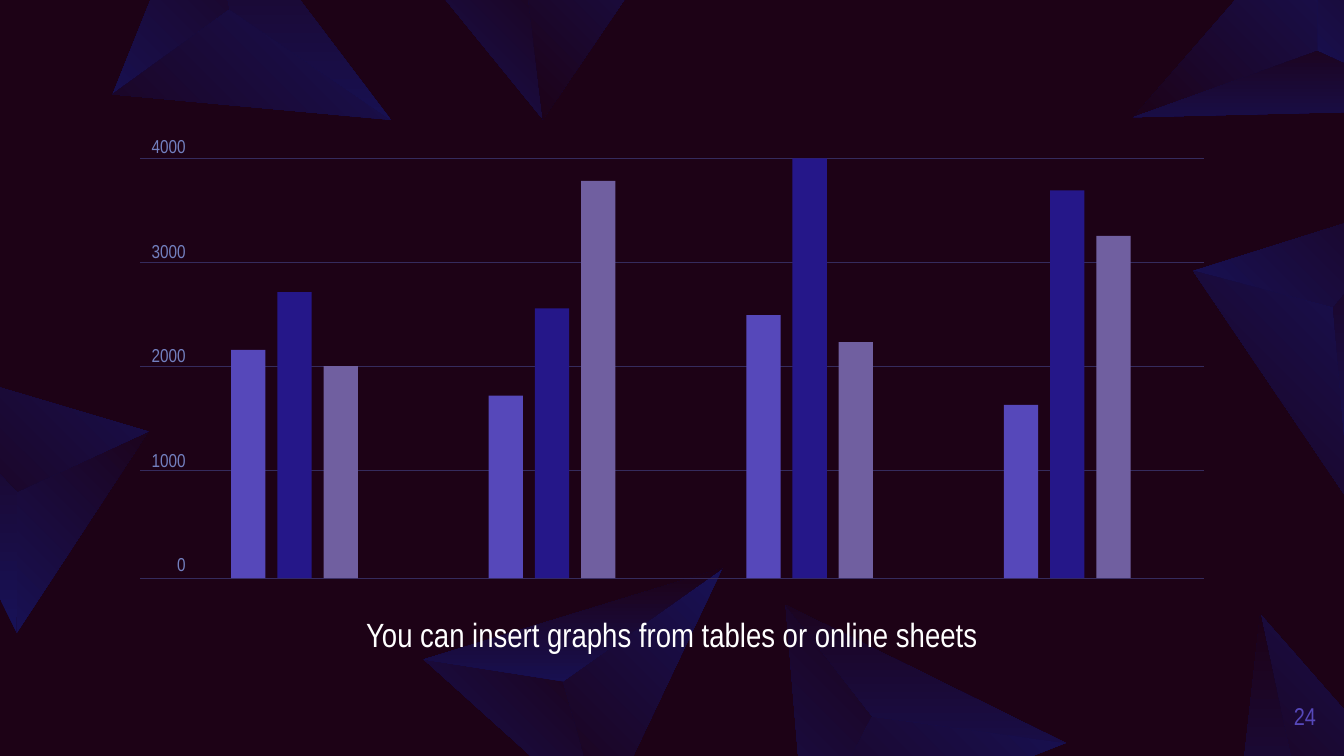
"""Build a dark slide with a grouped bar graph, a caption and faceted gems."""
from math import cos, radians, sin

from lxml import etree
from pptx import Presentation
from pptx.dml.color import RGBColor
from pptx.enum.shapes import MSO_CONNECTOR, MSO_SHAPE
from pptx.enum.text import MSO_ANCHOR, MSO_AUTO_SIZE, PP_ALIGN
from pptx.oxml.ns import qn
from pptx.util import Pt

STRAIGHT, RECTANGLE = MSO_CONNECTOR.STRAIGHT, MSO_SHAPE.RECTANGLE
TOP, MIDDLE = MSO_ANCHOR.TOP, MSO_ANCHOR.MIDDLE
CENTER, RIGHT = PP_ALIGN.CENTER, PP_ALIGN.RIGHT
NO_AUTOFIT = MSO_AUTO_SIZE.NONE

FONT = "Arial Narrow"
BACKGROUND, GEM_BLUE, GRID_COLOR = "1D0216", "17125A", "352B5D"
CAPTION = "You can insert graphs from tables or online sheets"
PAGE_NUMBER = "24"
AXIS_LABELS = ["4000", "3000", "2000", "1000", "0"]
SERIES = [
    ("5648BA", [2175, 1740, 2505, 1650]),
    ("251789", [2725, 2570, 4000, 3695]),
    ("705FA0", [2020, 3785, 2250, 3260]),
]

GRID_LEFT, GRID_RIGHT = 75, 645
GRID_LINES = [84.8, 140.5, 196.3, 252, 309.8]
BASELINE, AXIS_HEIGHT, AXIS_MAX = 309.8, 225, 4000
FIRST_BAR, GROUP_STEP, BAR_STEP, BAR_WIDTH = 123.8, 138, 24.75, 18.4

HUB, WEST, SOUTH, EAST = (0, 0), (-72, -23), (9.4, 77), (93.6, -46.8)
FACETS = {
    "left": ([WEST, SOUTH, HUB], 45),
    "right": ([SOUTH, EAST, HUB], 225),
    "top": ([WEST, HUB, EAST], 90),
}
GEMS = [
    (697, 431.3, 284.5, ["right", "top"]),
    (281.5, -13, 0, ["left", "right"]),
    (705.6, 27.4, 186.8, FACETS),
    (714.2, 164.9, 111.7, FACETS),
    (301.7, 365, 351.2, FACETS),
    (9, 263.5, 252.3, FACETS),
    (123.1, 5, 61, FACETS),
    (467.3, 383.8, 34.4, FACETS),
]


def rgb(hex_color):
    """Return the colour for a hex string."""
    return RGBColor.from_string(hex_color)


def write(shape, lines, *, size, color, align, anchor=TOP, before=0):
    """Fill a shape with formatted paragraphs."""
    frame = shape.text_frame
    frame.word_wrap = True
    frame.auto_size = NO_AUTOFIT
    frame.vertical_anchor = anchor
    frame.margin_left = frame.margin_right = 0
    frame.margin_top = frame.margin_bottom = 0
    for index, line in enumerate(lines):
        paragraph = frame.paragraphs[0] if index == 0 else frame.add_paragraph()
        paragraph.text = line
        paragraph.alignment = align
        paragraph.space_before = Pt(before if index else 0)
        paragraph.font.name = FONT
        paragraph.font.size = Pt(size)
        paragraph.font.color.rgb = rgb(color)


def add_facet(shapes, corners, gradient_angle, hub_x, hub_y, rotation):
    """Draw one gem face turned about its hub, lit from a fixed direction."""
    points = [(Pt(x), Pt(y)) for x, y in corners]
    builder = shapes.build_freeform(*points[0], scale=1.0)
    builder.add_line_segments(points[1:], close=True)
    facet = builder.convert_to_shape()
    xs, ys = zip(*corners)
    center_x, center_y = (min(xs) + max(xs)) / 2, (min(ys) + max(ys)) / 2
    turn = radians(rotation)
    x = hub_x + center_x * cos(turn) - center_y * sin(turn)
    y = hub_y + center_x * sin(turn) + center_y * cos(turn)
    facet.left = Pt(x) - facet.width // 2
    facet.top = Pt(y) - facet.height // 2
    facet.rotation = rotation
    facet.shadow.inherit = False
    facet.line.fill.background()
    facet.fill.gradient()
    facet.fill.gradient_angle = (gradient_angle + rotation) % 360
    for stop, color in zip(facet.fill.gradient_stops, (GEM_BLUE, BACKGROUND)):
        stop.color.rgb = rgb(color)


def add_grid_line(shapes, y):
    """Draw one horizontal grid line."""
    grid_line = shapes.add_connector(
        STRAIGHT, Pt(GRID_LEFT), Pt(y), Pt(GRID_RIGHT), Pt(y))
    grid_line.line.color.rgb = rgb(GRID_COLOR)
    grid_line.line.width = Pt(0.75)
    etree.SubElement(grid_line.element.spPr, qn("a:effectLst"))


def add_bar(shapes, left, value, color):
    """Draw one bar standing on the baseline."""
    height = value / AXIS_MAX * AXIS_HEIGHT
    bar = shapes.add_shape(
        RECTANGLE, Pt(left), Pt(BASELINE - height), Pt(BAR_WIDTH), Pt(height))
    bar.shadow.inherit = False
    bar.fill.solid()
    bar.fill.fore_color.rgb = rgb(color)
    bar.line.fill.background()


def main():
    """Build and save the slide."""
    deck = Presentation()
    deck.slide_width, deck.slide_height = Pt(720), Pt(405)
    slide = deck.slides.add_slide(deck.slide_layouts[5])
    shapes = slide.shapes
    slide.background.fill.solid()
    slide.background.fill.fore_color.rgb = rgb(BACKGROUND)

    for hub_x, hub_y, rotation, facet_names in GEMS:
        for facet_name in facet_names:
            add_facet(shapes, *FACETS[facet_name], hub_x, hub_y, rotation)

    caption = shapes.title
    shapes.element.append(caption.element)
    caption.left, caption.top = Pt(36), Pt(329)
    caption.width, caption.height = Pt(648), Pt(41)
    write(caption, [CAPTION], size=18, color="FFFFFF", align=CENTER)

    page_number = shapes.add_textbox(Pt(673), Pt(368), Pt(32), Pt(31))
    write(page_number, [PAGE_NUMBER], size=13, color="5648BA", align=RIGHT,
          anchor=MIDDLE)

    for y in GRID_LINES:
        add_grid_line(shapes, y)
    axis = shapes.add_textbox(Pt(GRID_LEFT), Pt(72.3), Pt(24.4), Pt(238))
    write(axis, AXIS_LABELS, size=10, color="7380BF", align=RIGHT, before=44)

    for series_index, (color, values) in enumerate(SERIES):
        for group_index, value in enumerate(values):
            left = FIRST_BAR + group_index * GROUP_STEP + series_index * BAR_STEP
            add_bar(shapes, left, value, color)

    deck.save("out.pptx")


if __name__ == "__main__":
    main()
